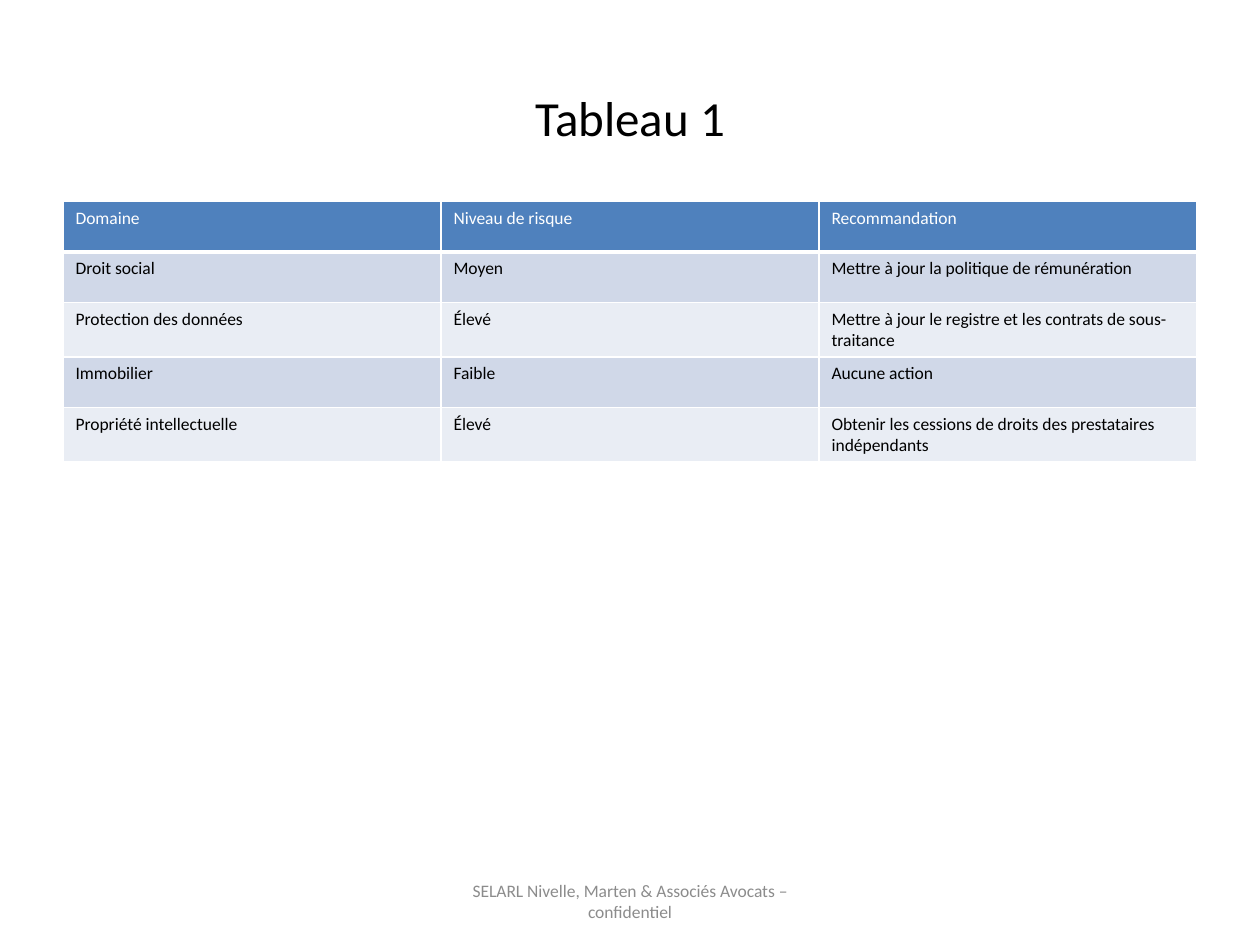
from lxml.etree import SubElement
from pptx import Presentation
from pptx.dml.color import RGBColor as Rgb
from pptx.enum.text import MSO_ANCHOR as Anchor, PP_ALIGN as Align
from pptx.oxml.ns import qn
from pptx.util import Inches, Pt

WIDTH, HEIGHT = 10, 7.5
MARGIN = WIDTH * 0.05
ROW_HEIGHT = 0.4
COLORS = {
    "text": "000000",
    "footer": "8C8C8C",
    "white": "FFFFFF",
    "header": "4F81BD",
    "odd": "D0D8E8",
    "even": "E9EDF4",
}
RISKS = [
    ("Domaine", "Niveau de risque", "Recommandation"),
    ("Droit social", "Moyen", "Mettre à jour la politique de rémunération"),
    ("Protection des données", "Élevé",
     "Mettre à jour le registre et les contrats de sous-traitance"),
    ("Immobilier", "Faible", "Aucune action"),
    ("Propriété intellectuelle", "Élevé",
     "Obtenir les cessions de droits des prestataires indépendants"),
]


def write(frame, text, size=10, color="text", align=Align.LEFT):
    paragraph = frame.paragraphs[0]
    paragraph.alignment = align
    run = paragraph.add_run()
    run.text = text
    run.font.name = "Calibri"
    run.font.size = Pt(size)
    run.font.color.rgb = Rgb.from_string(COLORS[color])


def add_centered_text(slide, text, left, top, width, height, **style):
    box = slide.shapes.add_textbox(*map(Inches, (left, top, width, height)))
    frame = box.text_frame
    frame.word_wrap = True
    frame.vertical_anchor = Anchor.MIDDLE
    write(frame, text, align=Align.CENTER, **style)


def set_borders(cell, bottom):
    properties = cell._tc.get_or_add_tcPr()
    for side, points in (("L", 1), ("R", 1), ("T", 1), ("B", bottom)):
        line = SubElement(properties, qn(f"a:ln{side}"), w=str(Pt(points)))
        fill = SubElement(line, qn("a:solidFill"))
        SubElement(fill, qn("a:srgbClr"), val=COLORS["white"])


def add_risk_table(slide, left, top, width):
    rows, columns = len(RISKS), len(RISKS[0])
    area = map(Inches, (left, top, width, rows * ROW_HEIGHT))
    table = slide.shapes.add_table(rows, columns, *area).table
    for row, entries in enumerate(RISKS):
        is_header = row == 0
        band = "header" if is_header else "odd" if row % 2 else "even"
        for column, entry in enumerate(entries):
            cell = table.cell(row, column)
            set_borders(cell, bottom=3 if is_header else 1)
            cell.fill.solid()
            cell.fill.fore_color.rgb = Rgb.from_string(COLORS[band])
            write(cell.text_frame, entry, color="white" if is_header else "text")


def main():
    deck = Presentation()
    deck.slide_width, deck.slide_height = Inches(WIDTH), Inches(HEIGHT)
    slide = deck.slides.add_slide(deck.slide_layouts[6])
    content_width = WIDTH - 2 * MARGIN

    # Title
    add_centered_text(slide, "Tableau 1", MARGIN, HEIGHT * 0.04,
                      content_width, 1.25, size=28)
    # Risk table
    add_risk_table(slide, MARGIN, 1.6, content_width)
    # Footer
    footer_width = 3.17
    add_centered_text(slide, "SELARL Nivelle, Marten & Associés Avocats – confidentiel",
                      (WIDTH - footer_width) / 2, 6.95, footer_width, 0.4,
                      color="footer")

    deck.save("out.pptx")


if __name__ == "__main__":
    main()
